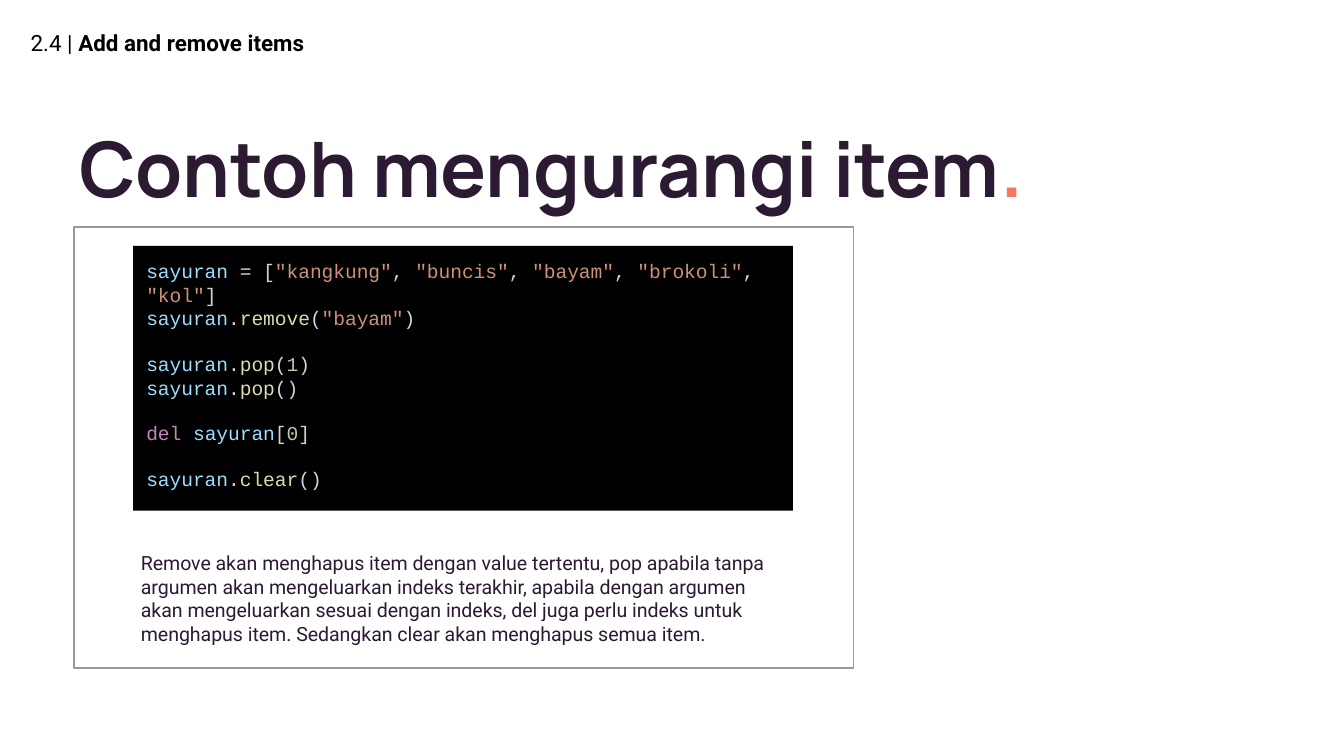
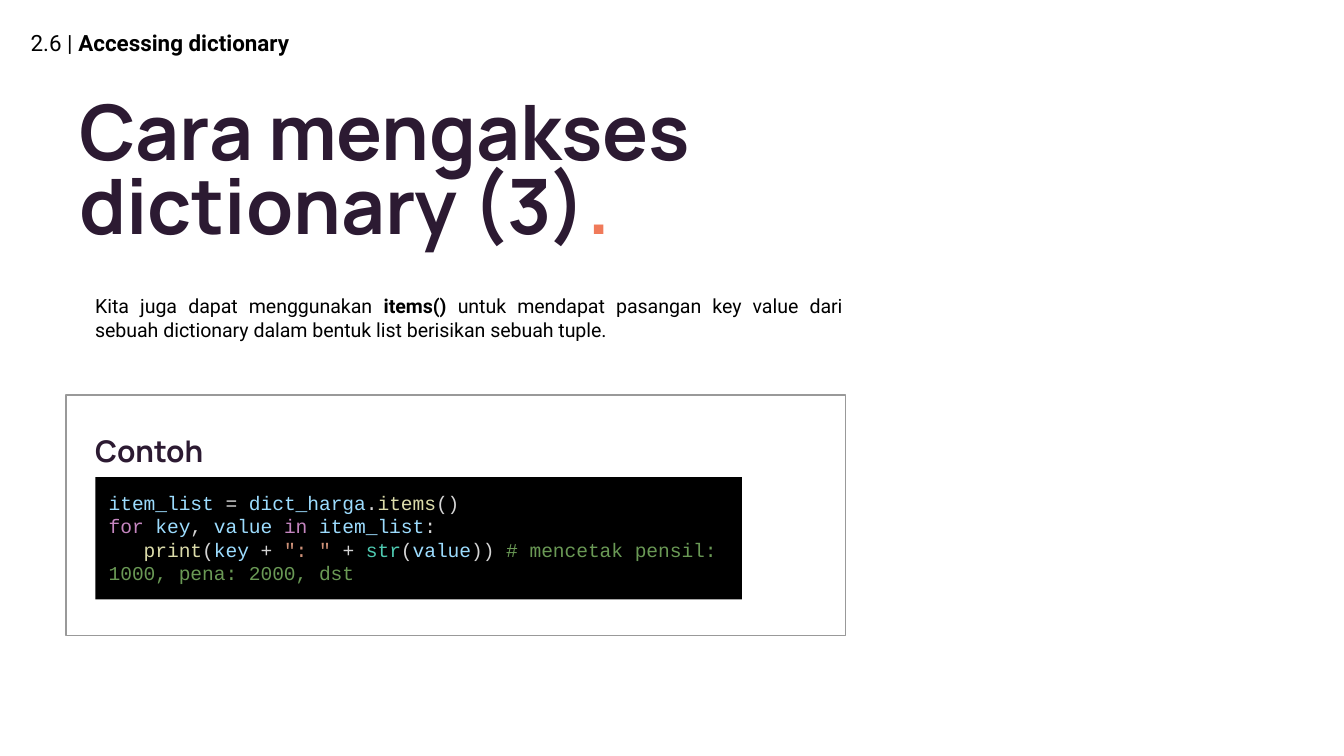
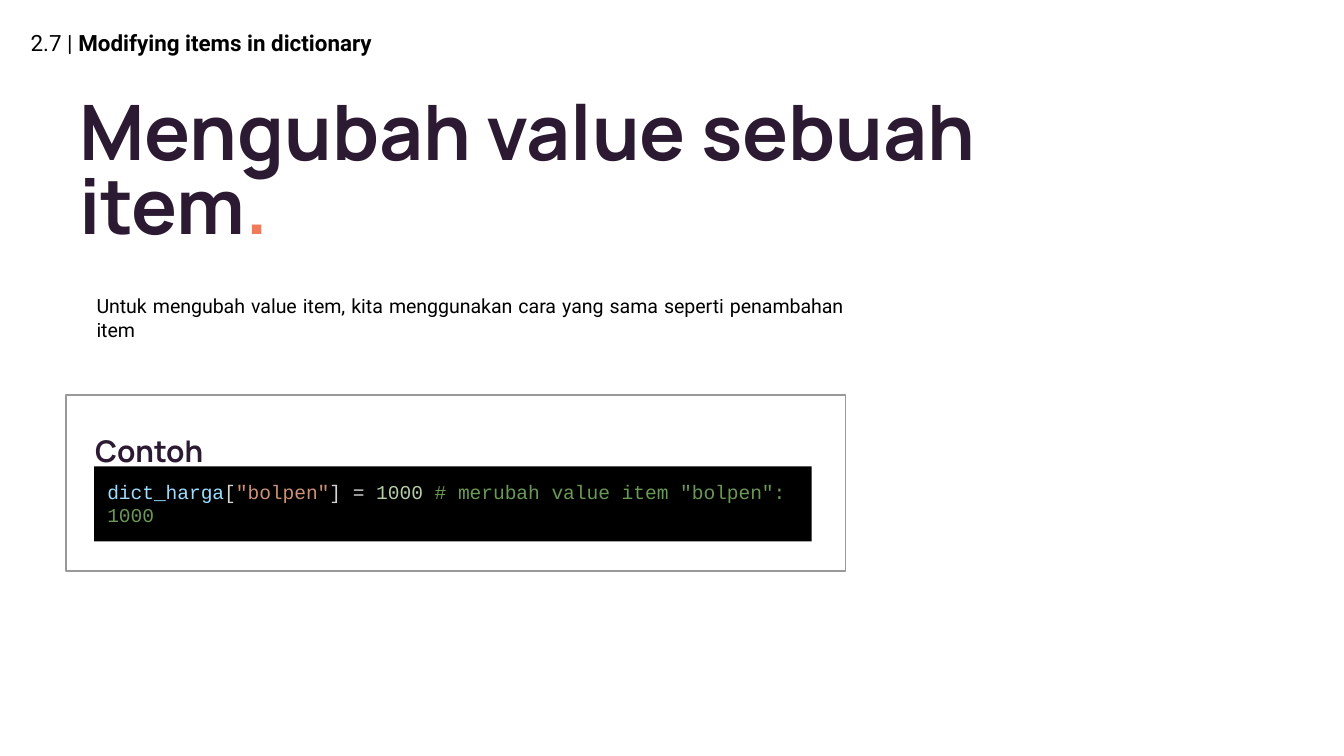
from functools import partial

from pptx import Presentation
from pptx.dml.color import RGBColor
from pptx.enum.shapes import MSO_SHAPE
from pptx.enum.text import MSO_ANCHOR, MSO_AUTO_SIZE, PP_ALIGN
from pptx.util import Inches, Pt

COLUMNS, ROWS = 100, 56.25
CELL = Inches(0.1)
INK, ACCENT, BLACK, BORDER = "2C1A32", "F07A5A", "000000", "999999"
CODE_PLAIN = "D4D4D4"
BODY_SIZE = 10.5
CODE_LINE = 11.9


def rgb(value):
    """Turn a hex string into a colour."""
    return RGBColor.from_string(value)


def run(text, **style):
    """Pair a piece of text with the format that sets it apart."""
    return text, style


variable = partial(run, color="9CDCFE")
string = partial(run, color="CE9178")
function = partial(run, color="DCDCAA")
number = partial(run, color="B5CEA8")
keyword = partial(run, color="C586C0")
builtin = partial(run, color="4EC9B0")
comment = partial(run, color="6A9955")


def call(owner, method, *arguments):
    """Return the runs of a method call."""
    if not arguments:
        return [variable(owner), ".", function(method), "()"]
    return [variable(owner), ".", function(method), "(", *arguments, ")"]


def grid(*cells):
    """Convert grid columns and rows into slide lengths."""
    return [round(cell * CELL) for cell in cells]


def write(frame, paragraphs, *, font, size, color, bold=False, spacing=None,
          align=PP_ALIGN.LEFT, anchor=MSO_ANCHOR.TOP, grow=False, gaps=()):
    """Fill a text frame with paragraphs of runs in one format."""
    frame.word_wrap = True
    frame.auto_size = MSO_AUTO_SIZE.SHAPE_TO_FIT_TEXT if grow else MSO_AUTO_SIZE.NONE
    frame.vertical_anchor = anchor
    frame.margin_left = frame.margin_right = CELL
    frame.margin_top = frame.margin_bottom = CELL
    for index, pieces in enumerate(paragraphs):
        paragraph = frame.paragraphs[0] if index == 0 else frame.add_paragraph()
        paragraph.alignment = align
        if spacing:
            paragraph.line_spacing = spacing
        if index in gaps:
            paragraph.space_before = Pt(CODE_LINE)
        for piece in pieces:
            text, style = run(piece) if isinstance(piece, str) else piece
            part = paragraph.add_run()
            part.text = text
            part.font.name = font
            part.font.size = Pt(size)
            part.font.bold = style.get("bold", bold)
            part.font.color.rgb = rgb(style.get("color", color))


def text_box(slide, area, pieces, **style):
    """Place one paragraph of text on the grid."""
    write(slide.shapes.add_textbox(*grid(*area)).text_frame, [pieces], **style)


def rectangle(slide, area, fill=None, border=None):
    """Draw a flat rectangle with an optional fill and border."""
    box = slide.shapes.add_shape(MSO_SHAPE.RECTANGLE, *grid(*area))
    box.shadow.inherit = False
    if fill:
        box.fill.solid()
        box.fill.fore_color.rgb = rgb(fill)
    else:
        box.fill.background()
    if border:
        box.line.color.rgb = rgb(border)
        box.line.width = Pt(0.75)
    else:
        box.line.fill.background()
    return box


def heading(slide, area, pieces, size):
    """Write a tight bold heading."""
    text_box(slide, area, pieces, font="Manrope", size=size, color=INK,
             bold=True, spacing=0.8, anchor=MSO_ANCHOR.MIDDLE)


def body(slide, area, pieces, color=BLACK, align=PP_ALIGN.JUSTIFY):
    """Write an explanation."""
    text_box(slide, area, pieces, font="Roboto", size=BODY_SIZE, color=color,
             align=align, grow=True)


def code_block(slide, area, lines, gaps=()):
    """Show coloured code on black, with a gap above the given lines."""
    write(rectangle(slide, area, fill=BLACK).text_frame, lines,
          font="Courier New", size=BODY_SIZE, color=CODE_PLAIN, grow=True, gaps=gaps)


def lesson(deck, section, topic, title, title_width=76):
    """Add a slide with its section label and title."""
    slide = deck.slides.add_slide(deck.slide_layouts[6])
    text_box(slide, (1.3, 0.7, 45.6, 5), [f"{section} |", run(f" {topic}", bold=True)],
             font="Roboto", size=12, color=BLACK, anchor=MSO_ANCHOR.MIDDLE)
    heading(slide, (4.9, 5.2, title_width, 15.7), [title, run(".", color=ACCENT)], 41)
    return slide


def example(slide, panel_height, code_area, lines):
    """Frame a code example under its heading."""
    rectangle(slide, (4.9, 29.4, 58, panel_height), border=BORDER)
    heading(slide, (6.1, 31.1, 45.6, 5.4), ["Contoh"], 16)
    code_block(slide, code_area, lines)


def removing_items(deck):
    """Build the slide on removing list items."""
    slide = lesson(deck, "2.4", "Add and remove items", "Contoh mengurangi item", 79.2)
    rectangle(slide, (5.5, 16.9, 58, 32.8), border=BORDER)
    body(slide, (9.5, 40, 49.9, 9.1), [
        "Remove akan menghapus item dengan value tertentu, pop apabila tanpa argumen "
        "akan mengeluarkan indeks terakhir, apabila dengan argumen akan mengeluarkan "
        "sesuai dengan indeks, del juga perlu indeks untuk menghapus item. Sedangkan "
        "clear akan menghapus semua item."], color=INK, align=PP_ALIGN.LEFT)
    vegetables = [string('"kangkung"')]
    for vegetable in ("buncis", "bayam", "brokoli", "kol"):
        vegetables += [", ", string(f'"{vegetable}"')]
    code_block(slide, (9.9, 18.3, 49.1, 19.7), [
        [variable("sayuran"), " = [", *vegetables, "]"],
        call("sayuran", "remove", string('"bayam"')),
        call("sayuran", "pop", number("1")),
        call("sayuran", "pop"),
        [keyword("del"), " ", variable("sayuran"), "[", number("0"), "]"],
        call("sayuran", "clear"),
    ], gaps=(2, 4, 5))


def accessing_dictionary(deck):
    """Build the slide on reading key and value pairs."""
    slide = lesson(deck, "2.6", "Accessing dictionary", "Cara mengakses dictionary (3)")
    body(slide, (6.1, 20.9, 57.6, 5.6), [
        "Kita juga dapat menggunakan ", run("items() ", bold=True),
        "untuk mendapat pasangan key value dari sebuah dictionary dalam bentuk list "
        "berisikan sebuah tuple."])
    example(slide, 17.9, (7.1, 35.5, 48.1, 9.1), [
        [variable("item_list"), " = ", *call("dict_harga", "items")],
        [keyword("for"), " ", variable("key"), ", ", variable("value"), " ",
         keyword("in"), " ", variable("item_list"), ":"],
        ["   ", function("print"), "(", variable("key"), " + ", string('": "'), " + ",
         builtin("str"), "(", variable("value"), ")) ",
         comment("# mencetak pensil: 1000, pena: 2000, dst")],
    ])


def modifying_dictionary(deck):
    """Build the slide on changing a value."""
    slide = lesson(deck, "2.7", "Modifying items in dictionary", "Mengubah value sebuah item")
    body(slide, (6.2, 20.9, 57.6, 5.6), [
        "Untuk mengubah value item, kita menggunakan cara yang sama seperti penambahan item"])
    example(slide, 13.1, (7, 34.7, 53.4, 5.6), [
        [variable("dict_harga"), "[", string('"bolpen"'), "] = ", number("1000"), " ",
         comment('# merubah value item "bolpen": 1000')],
    ])


def main():
    """Build and save the deck."""
    deck = Presentation()
    deck.slide_width, deck.slide_height = grid(COLUMNS, ROWS)
    removing_items(deck)
    accessing_dictionary(deck)
    modifying_dictionary(deck)
    deck.save("out.pptx")


if __name__ == "__main__":
    main()
